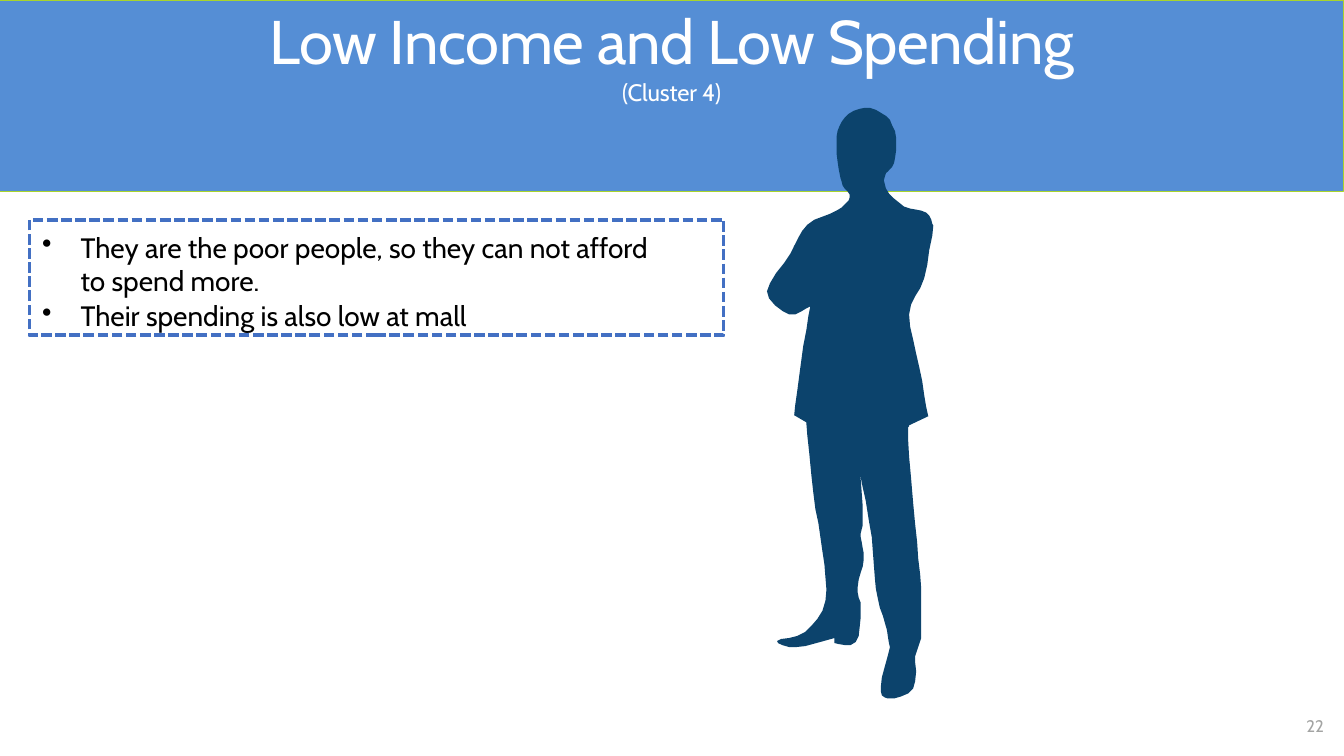
from dataclasses import dataclass

from lxml import etree
from pptx import Presentation
from pptx.dml.color import RGBColor
from pptx.enum.dml import MSO_LINE
from pptx.enum.shapes import MSO_SHAPE
from pptx.enum.text import MSO_ANCHOR, PP_ALIGN
from pptx.oxml.ns import qn
from pptx.shapes.autoshape import Shape
from pptx.slide import Slide
from pptx.util import Cm, Pt

LEFT, CENTER = PP_ALIGN.LEFT, PP_ALIGN.CENTER
TOP = MSO_ANCHOR.TOP
RECTANGLE = MSO_SHAPE.RECTANGLE
SHORT_DASH = MSO_LINE.SQUARE_DOT
OUTLINE_UNIT = Cm(2.54) / 100  # outlines are given in hundredths of an inch
CURVE_STEPS = 4

Point = tuple[float, float]


@dataclass(frozen=True)
class Theme:
    font: str = "Cabin"
    band: str = "558ED5"
    band_line: str = "A9D42C"
    figure: str = "0C436C"
    frame: str = "4370C3"
    heading: str = "FFFFFF"
    body: str = "000000"
    muted: str = "A3A4A3"
    title_size: float = 44
    subtitle_size: float = 17
    body_size: float = 20
    number_size: float = 12


THEME = Theme()


@dataclass(frozen=True)
class Box:
    """Position and size in centimetres."""
    left: float
    top: float
    width: float
    height: float

    def lengths(self) -> tuple[Cm, Cm, Cm, Cm]:
        return Cm(self.left), Cm(self.top), Cm(self.width), Cm(self.height)


@dataclass(frozen=True)
class Line:
    """One paragraph; margin and indent in centimetres, the rest in points."""
    text: str
    size: float
    color: str
    align: PP_ALIGN = LEFT
    before: float = 0
    spacing: float | None = None
    tracking: float = 0
    margin: float = 0
    indent: float = 0
    bullet: str = ""


TITLE_BOX = Box(1.09, 0.05, 31.67, 2.67)
FRAME_BOX = Box(0.74, 5.54, 17.5, 2.91)
BULLET_BOX = Box(1.04, 5.77, 15.95, 2.64)
NUMBER_BOX = Box(32.82, 18.11, 0.64, 0.51)

TITLE_LINES = [
    Line("Low Income and Low Spending", THEME.title_size, THEME.heading,
         align=CENTER, before=1, tracking=-0.3),
    Line("(Cluster 4)", THEME.subtitle_size, THEME.heading,
         align=CENTER, before=0.5, tracking=-0.1),
]
BULLET_LINES = [
    Line(text, THEME.body_size, THEME.body, before=1.1,
         margin=0.99, indent=-0.97, bullet="•")
    for text in (
        "They are the poor people, so they can not afford to spend more.",
        "Their spending is also low at mall",
    )
]
NUMBER_LINES = [Line("22", THEME.number_size, THEME.muted, spacing=12.4, margin=0.1)]

BAND_OUTLINE = [(0, 190), (1333, 190), (1333, 0), (0, 0)]
# Each stretch is a smooth curve; corners stay sharp where two stretches meet.
FIGURE_STRETCHES = [
    # right shoulder, head and left shoulder down to the folded arm
    [(926, 224), (919, 211), (897, 205), (879, 187), (879, 172), (887, 162),
     (889, 136), (879, 115), (858, 107), (838, 117), (830, 136), (832, 167),
     (836, 184), (843, 196), (830, 209), (801, 223), (784, 252), (761, 289),
     (783, 312), (804, 304)],
    # jacket side
    [(804, 304), (795, 358), (788, 412)],
    # outer left leg and shoe
    [(800, 419), (807, 489), (816, 547), (819, 596), (799, 627), (771, 636),
     (790, 642), (828, 633)],
    # left heel and inner left leg
    [(828, 638), (849, 637), (854, 604), (851, 582), (857, 555), (854, 533),
     (856, 514), (853, 467)],
    # inner right leg
    [(853, 467), (865, 533), (869, 584), (878, 618), (883, 642)],
    # right shoe
    [(883, 642), (874, 681), (881, 693), (906, 683), (908, 651)],
    # outer right leg
    [(914, 633), (914, 584), (908, 520), (901, 436), (902, 422)],
    # jacket and right arm
    [(921, 413), (912, 364), (902, 312), (917, 276), (926, 224)],
]


def smooth(points: list[Point]) -> list[Point]:
    """Return a Catmull-Rom curve that passes through every point."""
    padded = [points[0], *points, points[-1]]
    curve = [points[0]]
    for before, start, end, after in zip(padded, padded[1:], padded[2:], padded[3:]):
        for step in range(1, CURVE_STEPS + 1):
            t = step / CURVE_STEPS
            curve.append(tuple(
                b + t * (c - a + t * (2 * a - 5 * b + 4 * c - d
                                      + t * (3 * b - a - 3 * c + d))) / 2
                for a, b, c, d in zip(before, start, end, after)
            ))
    return curve


def style_shape(shape: Shape, *, fill: str | None = None, line: str | None = None,
                line_width: float = 0, dash: MSO_LINE | None = None) -> None:
    shape.shadow.inherit = False
    if fill:
        shape.fill.solid()
        shape.fill.fore_color.rgb = RGBColor.from_string(fill)
    else:
        shape.fill.background()
    if line:
        shape.line.color.rgb = RGBColor.from_string(line)
        shape.line.width = Pt(line_width)
        if dash is not None:
            shape.line.dash_style = dash
    else:
        shape.line.fill.background()


def add_outline(slide: Slide, points: list[Point], *, close: bool) -> Shape:
    builder = slide.shapes.build_freeform(*points[0], scale=OUTLINE_UNIT)
    builder.add_line_segments(points[1:], close=close)
    return builder.convert_to_shape()


def add_text(slide: Slide, box: Box, lines: list[Line], *, top_inset: float = 0) -> None:
    frame = slide.shapes.add_textbox(*box.lengths()).text_frame
    frame.word_wrap = True
    frame.vertical_anchor = TOP
    frame.margin_left = frame.margin_right = frame.margin_bottom = 0
    frame.margin_top = Cm(top_inset)
    for index, line in enumerate(lines):
        paragraph = frame.add_paragraph() if index else frame.paragraphs[0]
        paragraph.alignment = line.align
        paragraph.space_before = Pt(line.before)
        if line.spacing is not None:
            paragraph.line_spacing = Pt(line.spacing)
        properties = paragraph._p.get_or_add_pPr()
        properties.set("marL", str(Cm(line.margin)))
        properties.set("indent", str(Cm(line.indent)))
        if line.bullet:
            etree.SubElement(properties, qn("a:buChar")).set("char", line.bullet)
        run = paragraph.add_run()
        run.text = line.text
        run.font.name = THEME.font
        run.font.size = Pt(line.size)
        run.font.color.rgb = RGBColor.from_string(line.color)
        if line.tracking:
            run._r.get_or_add_rPr().set("spc", str(round(line.tracking * 100)))


def main() -> None:
    presentation = Presentation()
    presentation.slide_width, presentation.slide_height = Cm(33.87), Cm(19.05)
    slide = presentation.slides.add_slide(presentation.slide_layouts[6])

    band = add_outline(slide, BAND_OUTLINE, close=False)
    style_shape(band, fill=THEME.band, line=THEME.band_line, line_width=0.96)
    add_text(slide, TITLE_BOX, TITLE_LINES, top_inset=0.03)

    figure_outline = [point for stretch in FIGURE_STRETCHES for point in smooth(stretch)]
    figure = add_outline(slide, figure_outline, close=True)
    style_shape(figure, fill=THEME.figure)

    frame = slide.shapes.add_shape(RECTANGLE, *FRAME_BOX.lengths())
    style_shape(frame, line=THEME.frame, line_width=2.52, dash=SHORT_DASH)
    add_text(slide, NUMBER_BOX, NUMBER_LINES)
    add_text(slide, BULLET_BOX, BULLET_LINES, top_inset=0.03)

    presentation.save("out.pptx")


if __name__ == "__main__":
    main()
